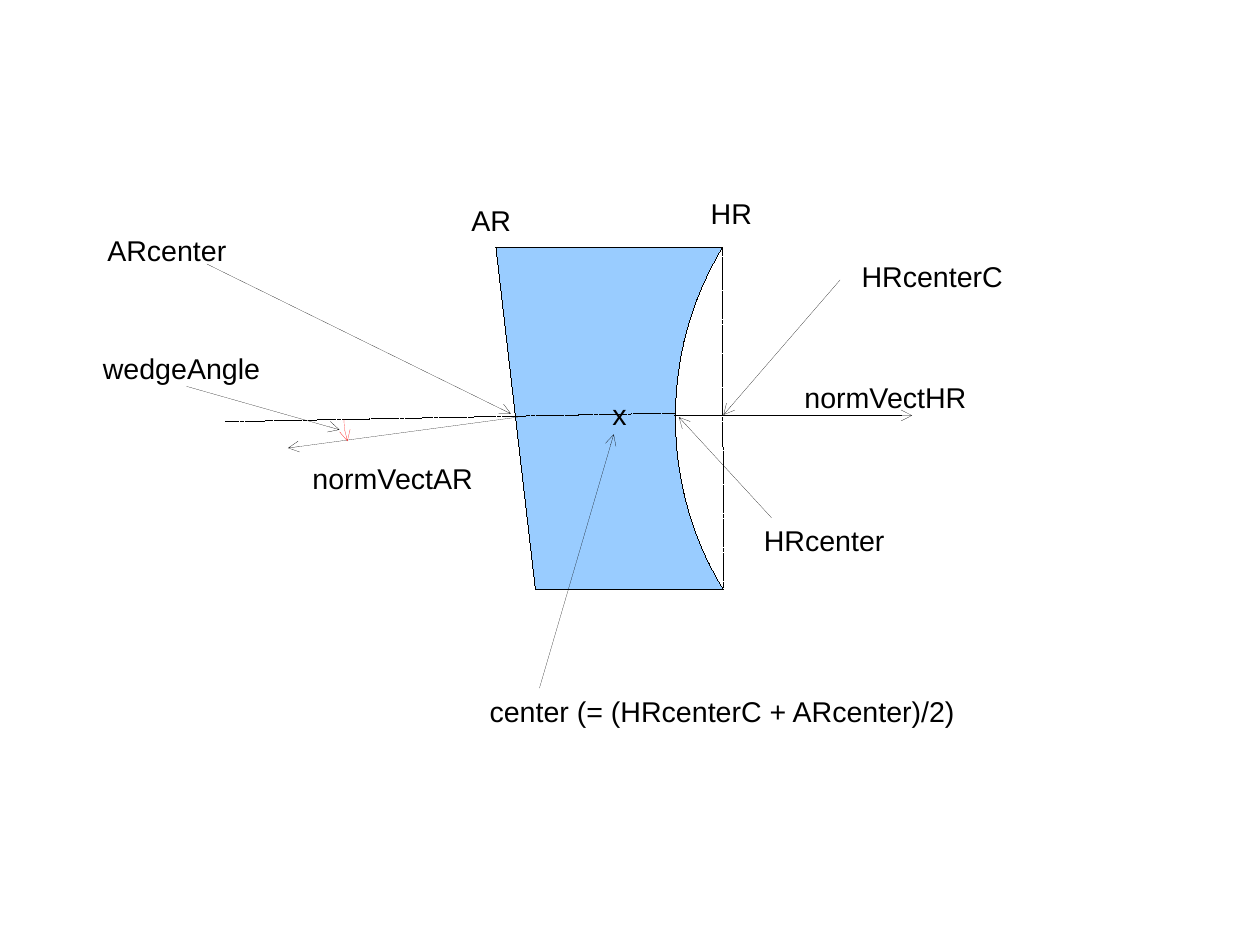
import pptx
import pptx.dml.color
import pptx.enum.dml
import pptx.enum.shapes
import pptx.oxml
import pptx.oxml.ns
import pptx.util

COLORS = {"ink": "000000", "glass": "99CCFF", "angle": "FF0000"}
COLUMNS, ROWS = 110.24, 82.68
HAIRLINE = 0.01


def rgb(name):
    return pptx.dml.color.RGBColor.from_string(COLORS[name])


def write_text(shape, text, font="Arial", size=18, color="ink"):
    frame = shape.text_frame
    frame.word_wrap = False
    run = frame.paragraphs[0].add_run()
    run.text = text
    run.font.name = font
    run.font.size = pptx.util.Pt(size)
    run.font.color.rgb = rgb(color)


def curve(start, control_1, control_2, end, steps=24):
    points = []
    for step in range(1, steps + 1):
        t = step / steps
        weights = ((1 - t) ** 3, 3 * t * (1 - t) ** 2, 3 * t * t * (1 - t), t ** 3)
        corners = (start, control_1, control_2, end)
        points.append(tuple(sum(w * corner[axis] for w, corner in zip(weights, corners))
                            for axis in (0, 1)))
    return points


class Diagram:
    def __init__(self, presentation):
        self.slide = presentation.slides.add_slide(presentation.slide_layouts[6])
        self.column = presentation.slide_width / COLUMNS
        self.row = presentation.slide_height / ROWS

    def place(self, column, row):
        return round(column * self.column), round(row * self.row)

    def style_line(self, shape, color="ink", dashed=False, arrow=False):
        shape.line.color.rgb = rgb(color)
        shape.line.width = pptx.util.Pt(HAIRLINE)
        if dashed:
            shape.line.dash_style = pptx.enum.dml.MSO_LINE.SQUARE_DOT
        if arrow:
            end = pptx.oxml.parse_xml(
                f'<a:tailEnd {pptx.oxml.ns.nsdecls("a")} type="arrow"/>')
            shape.get_or_add_ln().append(end)

    def label(self, text, column, row, width, height=3.9):
        box = self.slide.shapes.add_textbox(*self.place(column, row),
                                            *self.place(width, height))
        write_text(box, text)

    def line(self, start, end, **style):
        connector = self.slide.shapes.add_connector(
            pptx.enum.shapes.MSO_CONNECTOR.STRAIGHT,
            *self.place(*start), *self.place(*end))
        self.style_line(connector, **style)
        connector._element.spPr.append(
            pptx.oxml.parse_xml(f'<a:effectLst {pptx.oxml.ns.nsdecls("a")}/>'))

    def outline(self, start, points, fill=None, **style):
        builder = self.slide.shapes.build_freeform(*self.place(*start))
        builder.add_line_segments([self.place(*point) for point in points],
                                  close=fill is not None)
        shape = builder.convert_to_shape()
        shape.shadow.inherit = False
        if fill:
            shape.fill.solid()
            shape.fill.fore_color.rgb = rgb(fill)
        else:
            shape.fill.background()
        self.style_line(shape, **style)


def main():
    presentation = pptx.Presentation()
    presentation.slide_width = pptx.util.Cm(28)
    presentation.slide_height = pptx.util.Cm(21)
    diagram = Diagram(presentation)

    top_right, apex, bottom_right = (63.2, 21.65), (59.1, 36.5), (63.3, 51.55)
    mirror = (curve(top_right, (60.6, 26), (59.1, 31), apex)
              + curve(apex, (59.1, 42), (60.6, 47.2), bottom_right))
    diagram.outline((43.4, 21.65), [top_right, *mirror, (46.85, 51.55)], fill="glass")

    arrows = [
        ((59, 36.35), (79.8, 36.35)),
        ((45.3, 36.5), (25.2, 39.2)),
        ((67.5, 45.3), (59.4, 36.5)),
        ((73.5, 24.5), (63.3, 36.3)),
        ((47.2, 60.2), (53.7, 38)),
        ((18.1, 23.1), (44.7, 36.2)),
        ((16.3, 33.8), (29.7, 37.6)),
    ]
    for start, end in arrows:
        diagram.line(start, end, arrow=True)

    diagram.line(top_right, (63.3, 51.4), dashed=True)
    diagram.line((59.1, 36.15), (19.75, 36.9), dashed=True)

    wedge_start = (30.1, 36.7)
    diagram.outline(wedge_start,
                    curve(wedge_start, (30.1, 37.3), (30.2, 38), (30.4, 38.6), steps=6),
                    color="angle", arrow=True)

    labels = [
        ("normVectHR", 69.4, 32.75, 16.3),
        ("normVectAR", 26.35, 39.8, 16.2),
        ("HR", 61.2, 16.65, 5.6),
        ("AR", 40.25, 17.25, 5.5),
        ("HRcenter", 65.85, 45.25, 12.6),
        ("HRcenterC", 74.4, 22.2, 14.5),
        ("x", 52.6, 34.2, 3.2),
        ("center (= (HRcenterC + ARcenter)/2)", 41.85, 60.2, 43.1),
        ("ARcenter", 8.4, 19.9, 12.5),
        ("wedgeAngle", 8.02, 30.2, 15.9),
    ]
    for text, column, row, width in labels:
        diagram.label(text, column, row, width)

    presentation.save("out.pptx")


if __name__ == "__main__":
    main()
